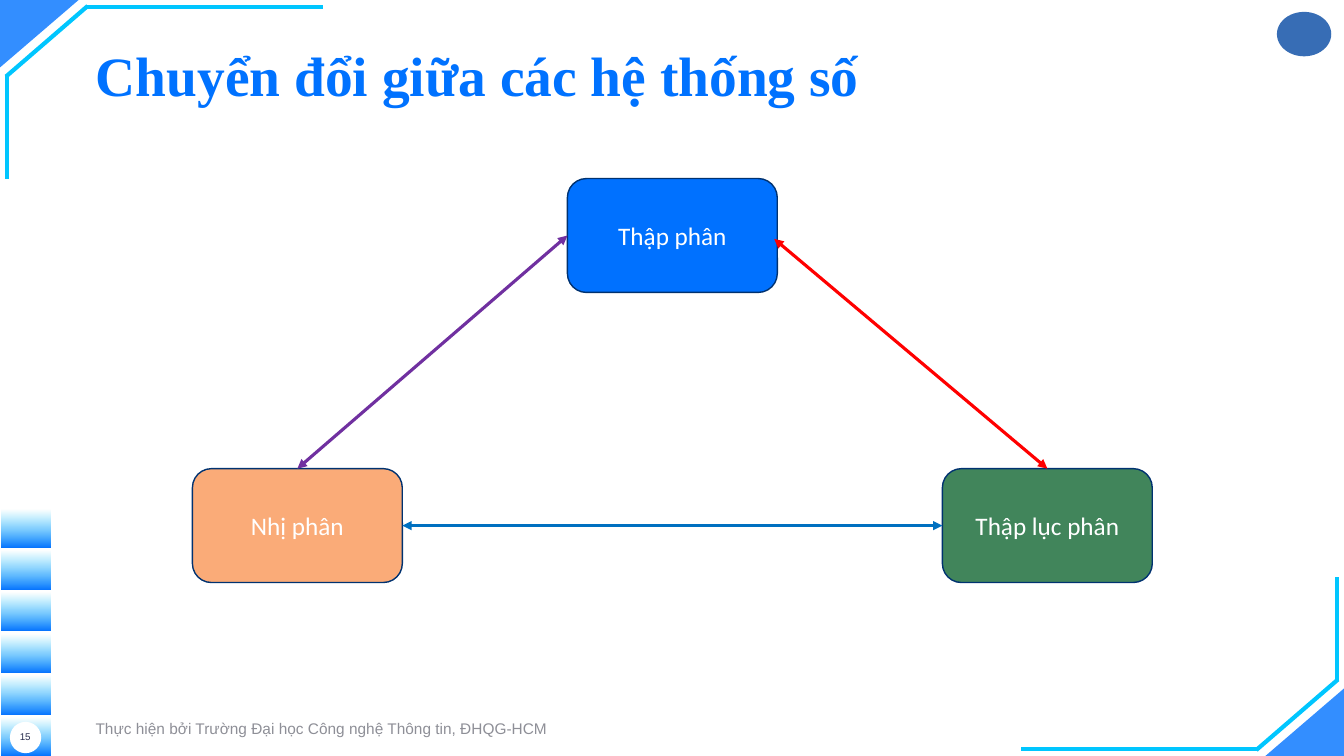
from dataclasses import dataclass

import pptx
import pptx.dml.color
import pptx.enum.shapes
import pptx.enum.text
import pptx.oxml.ns
import pptx.oxml.xmlchemy
import pptx.util
from lxml import etree
from pptx.dml.color import RGBColor
from pptx.enum.shapes import MSO_CONNECTOR, MSO_SHAPE
from pptx.enum.text import MSO_ANCHOR, PP_ALIGN
from pptx.oxml.ns import qn
from pptx.util import Cm

BLUE = RGBColor(0x00, 0x72, 0xFF)
CYAN = RGBColor(0x00, 0xC6, 0xFF)
EMBLEM_BLUE = RGBColor(0x37, 0x6D, 0xB5)
NAVY = RGBColor(0x00, 0x32, 0x70)
WHITE = RGBColor(0xFF, 0xFF, 0xFF)
GREY = RGBColor(0x8E, 0x8F, 0x97)
INK = RGBColor(0x2A, 0x2F, 0x4F)
DECIMAL_BLUE = RGBColor(0x00, 0x71, 0xFF)
BINARY_ORANGE = RGBColor(0xFA, 0xAB, 0x78)
HEX_GREEN = RGBColor(0x41, 0x85, 0x5B)
PURPLE = RGBColor(0x70, 0x30, 0xA0)
RED = RGBColor(0xFF, 0x00, 0x00)
ARROW_BLUE = RGBColor(0x00, 0x70, 0xC0)

WIDTH, HEIGHT = 33.87, 19.05
BOX_W, BOX_H = 5.29, 2.87
TOP, LEFT, RIGHT = 0, 1, 3


@dataclass(frozen=True)
class NumberSystem:
    name: str
    left: float
    top: float
    color: RGBColor


@dataclass(frozen=True)
class Conversion:
    start: str
    start_side: int
    end: str
    end_side: int | None
    end_point: tuple[float, float]
    color: RGBColor


SYSTEMS = [
    NumberSystem("Thập phân", 14.3, 4.5, DECIMAL_BLUE),
    NumberSystem("Nhị phân", 4.85, 11.81, BINARY_ORANGE),
    NumberSystem("Thập lục phân", 23.75, 11.81, HEX_GREEN),
]
CONVERSIONS = [
    Conversion("Nhị phân", TOP, "Thập phân", LEFT, (14.3, 5.93), PURPLE),
    Conversion("Thập lục phân", TOP, "Thập phân", None, (19.51, 6.02), RED),
    Conversion("Nhị phân", RIGHT, "Thập lục phân", LEFT, (23.75, 13.25), ARROW_BLUE),
]
CORNER_LINES = [
    (8.13, 0.18, 2.16, 0.18),
    (2.21, 0.15, 0.15, 1.93),
    (0.18, 4.5, 0.18, 1.88),
]


def write(tf, text: str, *, size: float, font: str, color: RGBColor | None = None,
          align: PP_ALIGN = PP_ALIGN.LEFT, bold: bool = False):
    tf.word_wrap = True
    tf.vertical_anchor = MSO_ANCHOR.MIDDLE
    p = tf.paragraphs[0]
    p.alignment = align
    r = p.add_run()
    r.text = text
    r.font.size = pptx.util.Pt(size)
    r.font.name = font
    r.font.bold = bold
    if color is not None:
        r.font.color.rgb = color
    return r


def add_box(s, kind: MSO_SHAPE, left: float, top: float, width: float, height: float,
            color: RGBColor | None = None):
    sp = s.shapes.add_shape(kind, Cm(left), Cm(top), Cm(width), Cm(height))
    sp.shadow.inherit = False
    sp.line.fill.background()
    if color is not None:
        sp.fill.solid()
        sp.fill.fore_color.rgb = color
    return sp


def add_text(s, left: float, top: float, width: float, height: float, text: str, **fmt) -> None:
    sp = s.shapes.add_textbox(Cm(left), Cm(top), Cm(width), Cm(height))
    write(sp.text_frame, text, **fmt)


def add_line(s, x1: float, y1: float, x2: float, y2: float, color: RGBColor, weight: float):
    cn = s.shapes.add_connector(MSO_CONNECTOR.STRAIGHT, Cm(x1), Cm(y1), Cm(x2), Cm(y2))
    cn.line.color.rgb = color
    cn.line.width = pptx.util.Pt(weight)
    etree.SubElement(cn._element.spPr, qn("a:effectLst"))
    return cn


def set_gradient(fill, angle: float) -> None:
    """Blue to cyan; the angle runs counter-clockwise."""
    fill.gradient()
    fill.gradient_angle = angle
    for stop, color in zip(fill.gradient_stops, (BLUE, CYAN)):
        stop.color.rgb = color


def set_opacity(sp, percent: int) -> None:
    """Apply to the last colour of the shape's fill."""
    colors = list(sp._element.spPr.iter(qn("a:srgbClr")))
    etree.SubElement(colors[-1], qn("a:alpha")).set("val", str(percent * 1000))


def draw_frame(s) -> None:
    """Corner ornaments, each also turned half a turn about the slide centre."""
    tri_w, tri_h = 1.98, 1.7
    for left, top, turn in ((0, 0, 180), (WIDTH - tri_w, HEIGHT - tri_h, 0)):
        sp = add_box(s, MSO_SHAPE.ISOSCELES_TRIANGLE, left, top, tri_w, tri_h, BLUE)
        sp.adjustments[0] = 1
        sp.rotation = turn
        set_opacity(sp, 80)
    for x1, y1, x2, y2 in CORNER_LINES:
        add_line(s, x1, y1, x2, y2, CYAN, 3)
        add_line(s, WIDTH - x1, HEIGHT - y1, WIDTH - x2, HEIGHT - y2, CYAN, 3)


def draw_side_bars(s) -> None:
    for i in range(6):
        sp = add_box(s, MSO_SHAPE.RECTANGLE, 0.05, 12.83 + 1.05 * i, 1.22, 0.97)
        set_gradient(sp.fill, 90)
        set_opacity(sp, 0)


def draw_diagram(s) -> None:
    boxes = {}
    for system in SYSTEMS:
        sp = add_box(s, MSO_SHAPE.ROUNDED_RECTANGLE, system.left, system.top,
                     BOX_W, BOX_H, system.color)
        sp.line.color.rgb = NAVY
        sp.line.width = pptx.util.Pt(1)
        write(sp.text_frame, system.name, size=18, font="Calibri", color=WHITE,
              align=PP_ALIGN.CENTER)
        boxes[system.name] = sp
    for c in CONVERSIONS:
        cn = add_line(s, 0, 0, *c.end_point, c.color, 2.25)
        cn.begin_connect(boxes[c.start], c.start_side)
        if c.end_side is not None:
            cn.end_connect(boxes[c.end], c.end_side)
        ln = cn._element.spPr.find(qn("a:ln"))
        for end in ("a:headEnd", "a:tailEnd"):
            etree.SubElement(ln, qn(end)).set("type", "triangle")


def draw_title(s) -> None:
    sp = s.shapes.title
    sp.left, sp.top, sp.width, sp.height = Cm(2.16), Cm(0.61), Cm(29.39), Cm(2.18)
    r = write(sp.text_frame, "Chuyển đổi giữa các hệ thống số", size=39.6,
              font="Times New Roman", bold=True)
    set_gradient(r.font.fill, 315)
    p = sp.text_frame.paragraphs[0]
    p.line_spacing = 1.2
    p.space_before = pptx.util.Pt(0)
    p.space_after = pptx.util.Pt(2)


def main() -> None:
    prs = pptx.Presentation()
    prs.slide_width, prs.slide_height = Cm(WIDTH), Cm(HEIGHT)
    s = prs.slides.add_slide(prs.slide_layouts[5])
    draw_frame(s)
    draw_side_bars(s)
    add_box(s, MSO_SHAPE.OVAL, 32.18, 0.3, 1.37, 1.12, EMBLEM_BLUE)
    add_box(s, MSO_SHAPE.OVAL, 0.25, 18.19, 0.79, 0.79, WHITE)
    draw_title(s)
    add_text(s, 2.16, 17.98, 11.99, 0.74,
             "Thực hiện bởi Trường Đại học Công nghệ Thông tin, ĐHQG-HCM",
             size=11, font="Arial", color=GREY)
    add_text(s, 0.15, 18.08, 0.97, 0.97, "15", size=7, font="Arial", color=INK,
             align=PP_ALIGN.CENTER)
    draw_diagram(s)
    prs.save("out.pptx")


if __name__ == "__main__":
    main()
